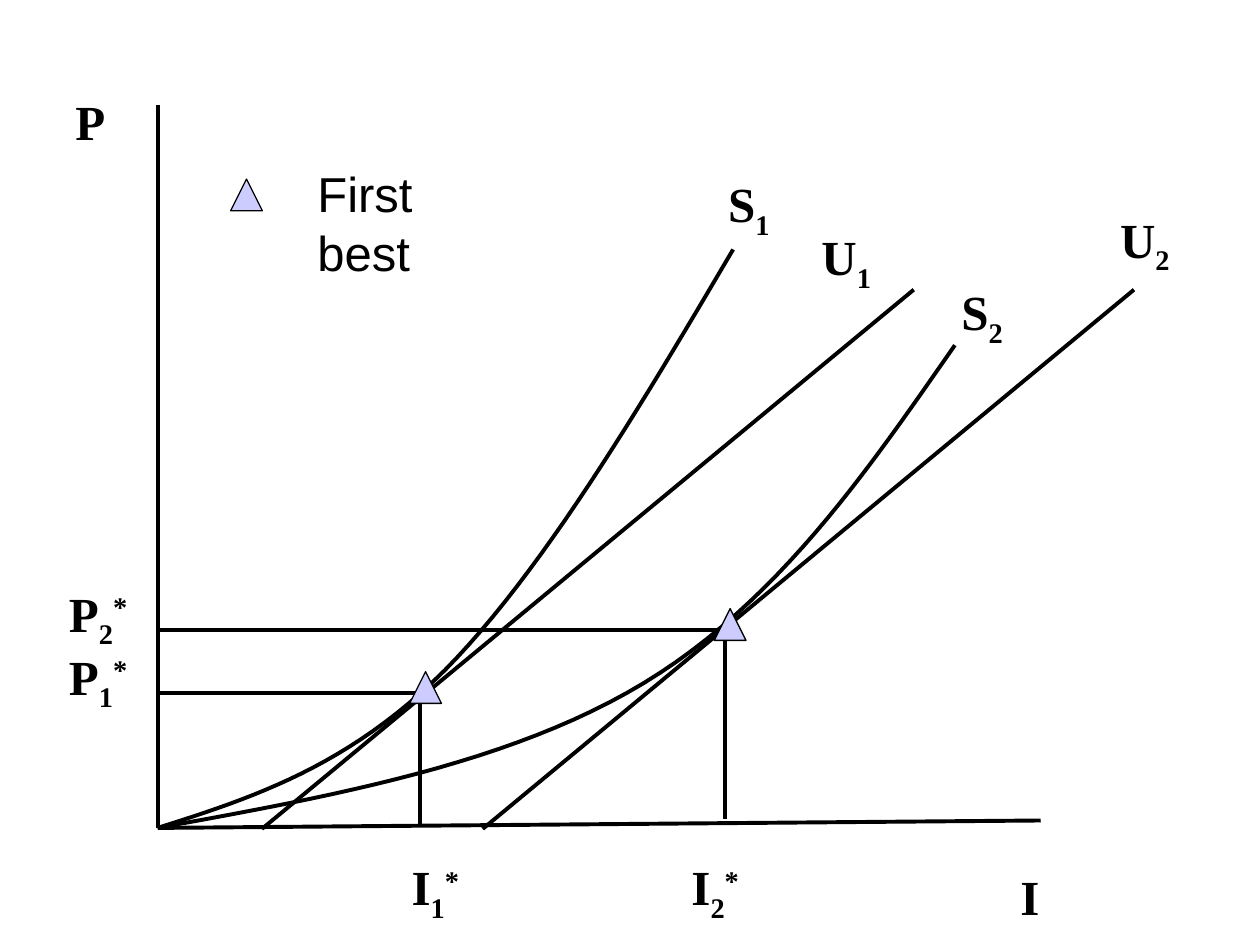
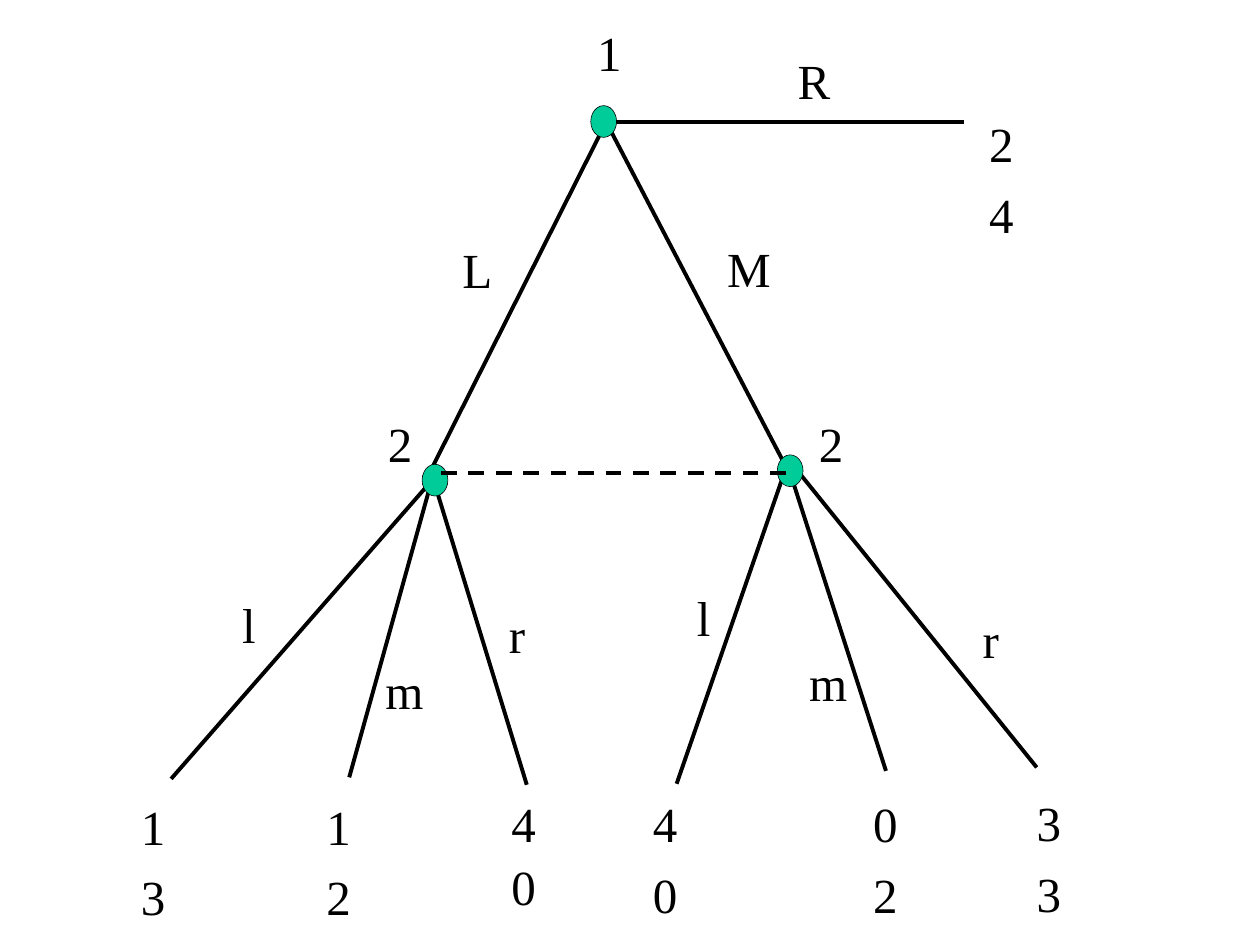
from pptx import Presentation
from pptx.dml.color import RGBColor
from pptx.enum.dml import MSO_LINE
from pptx.enum.shapes import MSO_CONNECTOR, MSO_SHAPE
from pptx.enum.text import MSO_ANCHOR
from pptx.util import Cm, Pt
from lxml import etree

BLACK = RGBColor(0x00, 0x00, 0x00)
WHITE = RGBColor(0xFF, 0xFF, 0xFF)
LILAC = RGBColor(0xCC, 0xCC, 0xFF)
GREEN = RGBColor(0x00, 0xCC, 0x99)
SERIF = "Times New Roman"
BASE = "{http://schemas.openxmlformats.org/drawingml/2006/main}effectLst"
STEPS = 24


def write(slide, text, x, y, w, h, font=SERIF, bold=False, inset=0, wrap=False, fill=None):
    box = slide.shapes.add_textbox(Cm(x), Cm(y), Cm(w), Cm(h))
    if fill is not None:
        box.fill.solid()
        box.fill.fore_color.rgb = fill
    frame = box.text_frame
    frame.word_wrap = wrap
    frame.vertical_anchor = MSO_ANCHOR.TOP
    frame.margin_left = frame.margin_right = Cm(inset)
    frame.margin_top = frame.margin_bottom = Cm(inset / 2)
    parts = text if isinstance(text, list) else [(text, 0)]
    for part, shift in parts:
        run = frame.paragraphs[0].add_run()
        run.text = part
        run.font.name = font
        run.font.size = Pt(28)
        run.font.bold = bold
        run.font.color.rgb = BLACK
        if shift:
            run.font._element.set("baseline", str(shift * 1000))


def draw(slide, start, end, dash=None):
    line = slide.shapes.add_connector(MSO_CONNECTOR.STRAIGHT, *[Cm(n) for n in start + end])
    line.line.color.rgb = BLACK
    line.line.width = Pt(2.25)
    if dash is not None:
        line.line.dash_style = dash
    etree.SubElement(line._element.spPr, BASE)


deck = Presentation()
deck.slide_width = Cm(25.4)
deck.slide_height = Cm(19.05)
blank = deck.slide_layouts[6]

graph = deck.slides.add_slide(blank)
labels = [
    ("P1*", 1.14, 12.9, 2.9, 1.85),
    ("P2*", 1.14, 11.63, 2.9, 1.65),
    ("S1", 14.43, 3.38, 2.31, 1.7),
    ("U1", 16.31, 4.45, 1.8, 2.18),
    ("I1*", 8.05, 17.15, 3.81, 1.65),
    ("I2*", 13.69, 17.15, 2.69, 1.65),
    ("S2", 19.13, 5.56, 2.26, 2.06),
    ("P", 1.27, 1.73, 1.8, 2.92),
    ("U2", 22.33, 4.09, 1.8, 2.18),
    ("I", 20.32, 17.35, 1.8, 1.7),
]
for name, x, y, w, h in labels:
    parts = list(zip(name, (0, -25, 30)))
    write(graph, parts, x, y, w, h, bold=True, inset=0.25, wrap=True, fill=WHITE)

zero = (3.18, 16.69)
for start, end in [
    ((3.18, 2.11), zero),
    (zero, (20.98, 16.54)),
    ((8.46, 13.97), (8.46, 16.66)),
    ((8.69, 13.97), (3.18, 13.97)),
    ((14.61, 12.7), (14.61, 16.51)),
    ((14.61, 12.7), (3.18, 12.7)),
    ((18.42, 5.84), (5.28, 16.71)),
    ((22.86, 5.84), (9.73, 16.71)),
]:
    draw(graph, start, end)

curves = [
    [zero, (5.11, 16.08), (7.04, 15.44), (8.97, 13.51), (10.9, 11.56), (12.85, 8.31), (14.78, 5.03)],
    [zero, (6.73, 16.05), (10.31, 15.39), (12.98, 13.77), (15.67, 12.14), (17.45, 9.55), (19.25, 6.96)],
]
for knots in curves:
    points = []
    for first in (0, 3):
        a, b, c, d = knots[first:first + 4]
        for step in range(1, STEPS + 1):
            t = step / STEPS
            u = 1 - t
            points.append([
                Cm(u**3 * p + 3 * u * u * t * q + 3 * u * t * t * r + t**3 * s)
                for p, q, r, s in zip(a, b, c, d)
            ])
    pen = graph.shapes.build_freeform(Cm(zero[0]), Cm(zero[1]))
    pen.add_line_segments(points, close=False)
    curve = pen.convert_to_shape()
    curve.shadow.inherit = False
    curve.fill.background()
    curve.line.color.rgb = BLACK
    curve.line.width = Pt(2.25)

write(graph, "First best", 6.15, 3.18, 4.55, 1.45, font="Arial", inset=0.25)

tree = deck.slides.add_slide(blank)
root = (12.22, 2.46)
right = (15.9, 9.27)
for start, end in [
    (root, (19.43, 2.46)),
    (root, (8.69, 9.47)),
    (root, (15.85, 9.42)),
    ((8.71, 9.68), (3.45, 15.7)),
    ((8.69, 9.73), (7.04, 15.67)),
    ((8.74, 9.68), (10.62, 15.82)),
    (right, (13.64, 15.8)),
    ((15.95, 9.6), (17.86, 15.54)),
    (right, (20.9, 15.47)),
]:
    draw(tree, start, end)

marks = [
    (graph, MSO_SHAPE.ISOSCELES_TRIANGLE, LILAC, 0.75, 0.64, [(14.4, 12.27), (8.26, 13.54), (4.65, 3.61)]),
    (tree, MSO_SHAPE.OVAL, GREEN, 0.34, 0.52, [(11.91, 2.13), (15.67, 9.17), (8.51, 9.36)]),
]
for slide, kind, color, width, size, spots in marks:
    for x, y in spots:
        mark = slide.shapes.add_shape(kind, Cm(x), Cm(y), Cm(size), Cm(0.64))
        mark.shadow.inherit = False
        mark.fill.solid()
        mark.fill.fore_color.rgb = color
        mark.line.color.rgb = BLACK
        mark.line.width = Pt(width)

draw(tree, (8.89, 9.53), (15.88, 9.53), dash=MSO_LINE.DASH)

payoffs = [
    ("13", 2.84, 16.05, 1.42),
    ("12", 6.58, 16.05, 1.42),
    ("40", 10.31, 16, 1.27),
    ("40", 13.16, 16, 1.42),
    ("02", 17.6, 16, 1.42),
    ("33", 20.9, 15.98, 1.42),
    ("24", 19.94, 2.29, 1.42),
]
for pair, x, y, gap in payoffs:
    for row, value in enumerate(pair):
        write(tree, value, x, y + row * gap, 0.48, 1.19)

moves = [
    ("1", 12.04, 0.46, 0.48),
    ("2", 7.82, 8.33, 0.48),
    ("2", 16.51, 8.33, 0.48),
    ("L", 9.32, 4.83, 0.61),
    ("M", 14.66, 4.8, 0.89),
    ("R", 16.08, 1.02, 0.66),
    ("l", 4.88, 11.99, 0.28),
    ("m", 7.77, 13.31, 0.76),
    ("r", 10.26, 12.19, 0.33),
    ("l", 14.05, 11.84, 0.28),
    ("m", 16.31, 13.16, 0.76),
    ("r", 19.81, 12.29, 0.33),
]
for name, x, y, w in moves:
    write(tree, name, x, y, w, 1.19)

deck.save("out.pptx")
